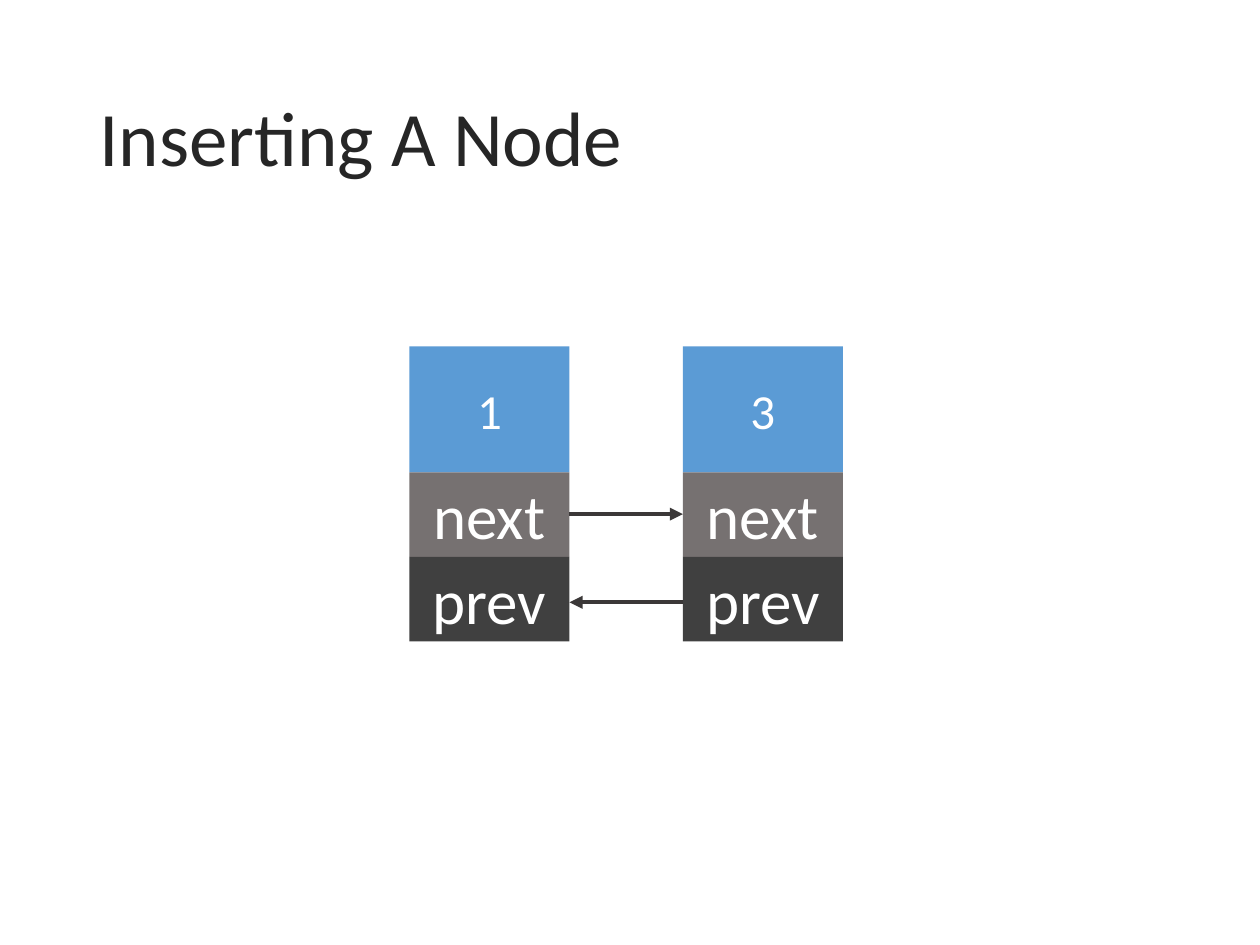
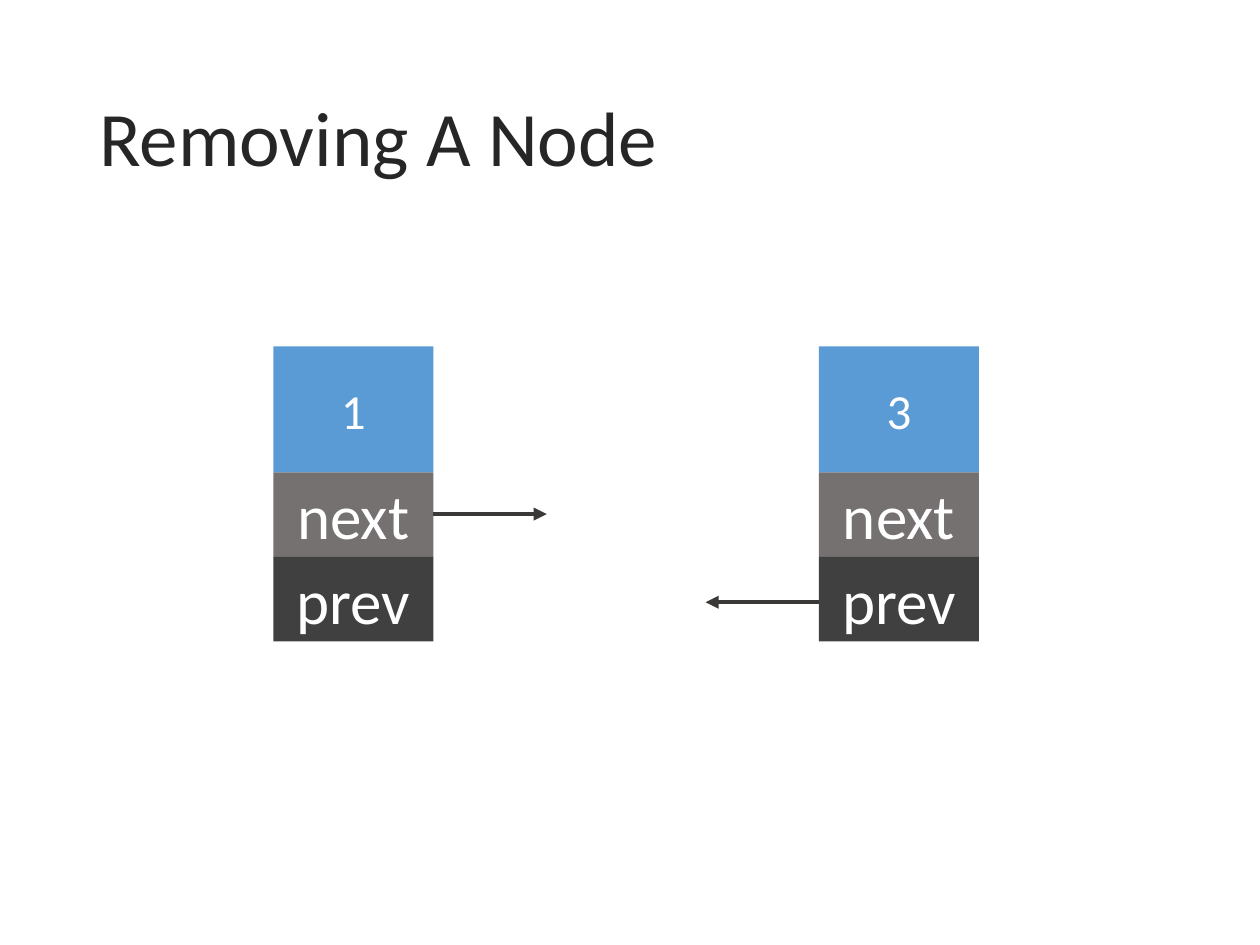
import pptx
import pptx.dml.color
import pptx.enum.shapes
import pptx.enum.text
import pptx.oxml.ns
import pptx.util
from lxml import etree
from pptx.util import Inches

FONT = "Calibri"
TITLE_COLOR = "262626"
LABEL_COLOR = "FFFFFF"
ARROW_COLOR = "3B3838"
VALUE_FILL = "5B9BD5"
NEXT_FILL = "767171"
PREV_FILL = "404040"

NODE_TOP = 2.75
NODE_WIDTH = 1.27
VALUE_HEIGHT = 1
POINTER_HEIGHT = 0.67
NEXT_ARROW_Y = 4.08
PREV_ARROW_Y = 4.78
ARROW_LENGTH = 0.9


def color(hex_code):
    return pptx.dml.color.RGBColor.from_string(hex_code)


def write_text(frame, text, size, hex_code):
    """Put one line, vertically centred, in a text frame; return its paragraph."""
    frame.word_wrap = True
    frame.vertical_anchor = pptx.enum.text.MSO_ANCHOR.MIDDLE
    paragraph = frame.paragraphs[0]
    paragraph.text = text
    paragraph.font.name = FONT
    paragraph.font.size = pptx.util.Pt(size)
    paragraph.font.color.rgb = color(hex_code)
    return paragraph


def add_titled_slide(deck, title):
    slide = deck.slides.add_slide(deck.slide_layouts[6])
    heading = slide.shapes.add_textbox(
        Inches(0.69), Inches(0.4), Inches(8.62), Inches(1.45))
    write_text(heading.text_frame, title, 44, TITLE_COLOR).line_spacing = 0.9
    return slide


def add_node(shapes, left, value):
    """Stack the value cell and the two pointer cells of a list node."""
    top = NODE_TOP
    for label, height, size, fill in (
            (value, VALUE_HEIGHT, 28, VALUE_FILL),
            ("next", POINTER_HEIGHT, 36, NEXT_FILL),
            ("prev", POINTER_HEIGHT, 36, PREV_FILL)):
        cell = shapes.add_shape(
            pptx.enum.shapes.MSO_SHAPE.RECTANGLE,
            Inches(left), Inches(top), Inches(NODE_WIDTH), Inches(height))
        cell.shadow.inherit = False
        cell.fill.solid()
        cell.fill.fore_color.rgb = color(fill)
        cell.line.fill.background()
        paragraph = write_text(cell.text_frame, label, size, LABEL_COLOR)
        paragraph.alignment = pptx.enum.text.PP_ALIGN.CENTER
        top += height


def add_arrow(shapes, start_x, end_x, y):
    arrow = shapes.add_connector(
        pptx.enum.shapes.MSO_CONNECTOR.STRAIGHT,
        Inches(start_x), Inches(y), Inches(end_x), Inches(y))
    arrow.line.color.rgb = color(ARROW_COLOR)
    arrow.line.width = pptx.util.Pt(2.5)
    qn = pptx.oxml.ns.qn
    etree.SubElement(arrow.line._get_or_add_ln(), qn("a:tailEnd"), type="triangle")
    etree.SubElement(arrow._element.spPr, qn("a:effectLst"))


def add_next_arrow(shapes, node_left):
    start = node_left + NODE_WIDTH
    add_arrow(shapes, start, start + ARROW_LENGTH, NEXT_ARROW_Y)


def add_prev_arrow(shapes, node_left):
    add_arrow(shapes, node_left, node_left - ARROW_LENGTH, PREV_ARROW_Y)


def build_inserting(deck):
    shapes = add_titled_slide(deck, "Inserting A Node").shapes
    first_left = 3.25
    third_left = first_left + NODE_WIDTH + ARROW_LENGTH
    add_node(shapes, first_left, "1")
    add_node(shapes, third_left, "3")
    add_next_arrow(shapes, first_left)
    add_prev_arrow(shapes, third_left)


def build_removing(deck):
    slide = add_titled_slide(deck, "Removing A Node")
    for left, value, add_pointer in ((2.17, "1", add_next_arrow),
                                     (6.5, "3", add_prev_arrow)):
        node = slide.shapes.add_group_shape().shapes
        add_node(node, left, value)
        add_pointer(node, left)


def main():
    deck = pptx.Presentation()
    deck.slide_width = Inches(10)
    deck.slide_height = Inches(7.5)
    build_inserting(deck)
    build_removing(deck)
    deck.save("out.pptx")


if __name__ == "__main__":
    main()
